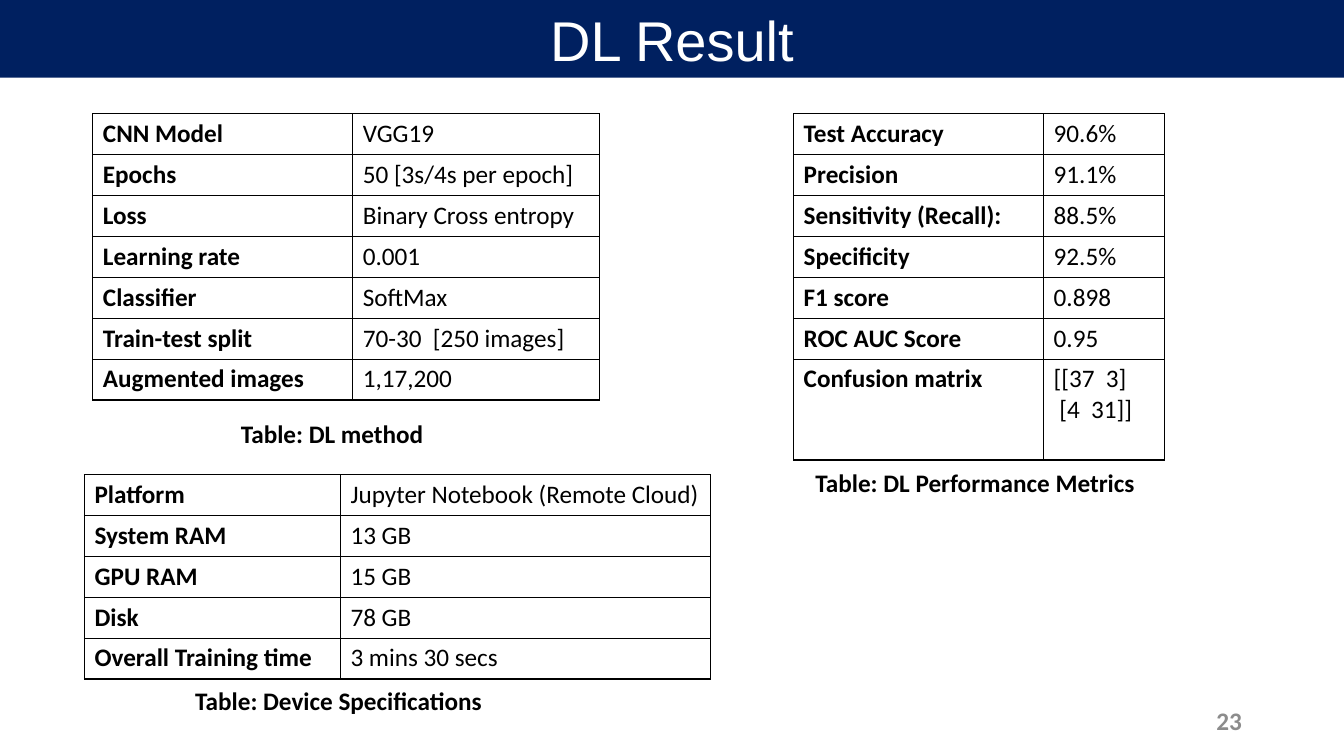
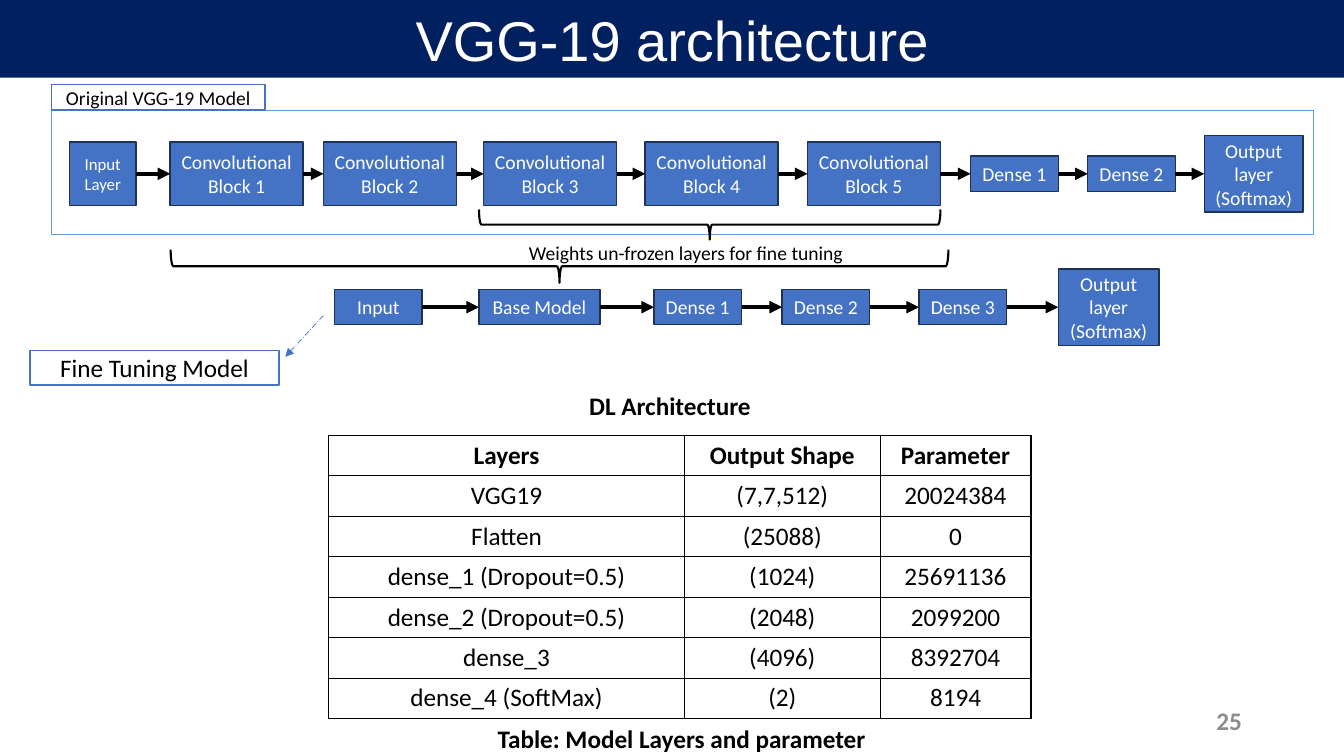
from dataclasses import dataclass
from itertools import pairwise

import pptx
import pptx.dml.color
import pptx.enum.dml
import pptx.enum.shapes
import pptx.enum.text
import pptx.oxml
import pptx.oxml.ns
import pptx.util

Cm = pptx.util.Cm
Pt = pptx.util.Pt
Shape = pptx.enum.shapes.MSO_SHAPE
Align = pptx.enum.text.PP_ALIGN
Anchor = pptx.enum.text.MSO_ANCHOR


@dataclass(frozen=True)
class Theme:
    navy: str = "002060"
    blue: str = "4472C4"
    dark_blue: str = "1E3256"
    light_blue: str = "5B9BD5"
    gray: str = "8C8C8C"
    black: str = "000000"
    white: str = "FFFFFF"
    title_font: str = "Arial"
    body_font: str = "Calibri"
    title_size: float = 40
    body_size: float = 18
    label_size: float = 14
    small_size: float = 12
    page_width: float = 33.87
    page_height: float = 19.05
    band_height: float = 1.96
    row_height: float = 1.03


THEME = Theme()


def rgb(color):
    return pptx.dml.color.RGBColor.from_string(color)


def add_child(parent, tag, **attributes):
    child = pptx.oxml.parse_xml(f"<a:{tag} {pptx.oxml.ns.nsdecls('a')}/>")
    for name, value in attributes.items():
        child.set(name, value)
    parent.append(child)
    return child


# Text
def write(frame, text, size=THEME.body_size, color=THEME.black, bold=False,
          font=THEME.body_font, align=Align.LEFT):
    """Fill a text frame; each line of text becomes a paragraph."""
    frame.word_wrap = True
    for index, line in enumerate(text.split("\n")):
        para = frame.add_paragraph() if index else frame.paragraphs[0]
        para.alignment = align
        span = para.add_run()
        span.text = line
        span.font.size = Pt(size)
        span.font.name = font
        span.font.bold = bold
        span.font.color.rgb = rgb(color)


def add_text(page, text, left, top, width=10, height=1.02,
             anchor=Anchor.TOP, **text_format):
    box = page.shapes.add_textbox(Cm(left), Cm(top), Cm(width), Cm(height))
    box.text_frame.vertical_anchor = anchor
    write(box.text_frame, text, **text_format)


def add_caption(page, text, left, top):
    add_text(page, text, left, top, bold=True)


# Shapes and lines
def add_box(page, left, top, width, height, text="", fill=THEME.white,
            line=THEME.blue, line_width=1, **text_format):
    box = page.shapes.add_shape(Shape.RECTANGLE, Cm(left), Cm(top),
                                Cm(width), Cm(height))
    box.shadow.inherit = False
    box.fill.solid()
    box.fill.fore_color.rgb = rgb(fill)
    box.line.color.rgb = rgb(line)
    box.line.width = Pt(line_width)
    if text:
        frame = box.text_frame
        frame.margin_left = frame.margin_right = Cm(0.15)
        frame.margin_top = frame.margin_bottom = 0
        frame.vertical_anchor = Anchor.MIDDLE
        write(frame, text, align=Align.CENTER, **text_format)
    return box


def add_brace(page, left, top, span, depth):
    """Draw a brace that opens upward, with its point at the bottom."""
    brace = page.shapes.add_shape(
        Shape.RIGHT_BRACE, Cm(left + (span - depth) / 2),
        Cm(top + (depth - span) / 2), Cm(depth), Cm(span))
    brace.rotation = 90
    brace.shadow.inherit = False
    brace.fill.background()
    brace.line.color.rgb = rgb(THEME.black)
    brace.line.width = Pt(1.5)


def add_arrow(page, start=(0, 0), end=(0, 0), color=THEME.black, width=3,
              dash=None):
    arrow = page.shapes.add_connector(
        pptx.enum.shapes.MSO_CONNECTOR.STRAIGHT,
        *(Cm(value) for value in (*start, *end)))
    arrow.line.color.rgb = rgb(color)
    arrow.line.width = Pt(width)
    if dash:
        arrow.line.dash_style = dash
    add_child(arrow.line._get_or_add_ln(), "tailEnd", type="triangle")
    add_child(arrow._element.spPr, "effectLst")
    return arrow


def add_flow(page, middle, steps):
    """Draw boxes (text, left, width, height, size) joined by arrows."""
    boxes = [add_box(page, left, middle - height / 2, width, height, text,
                     fill=THEME.blue, line=THEME.dark_blue, size=size,
                     color=THEME.white)
             for text, left, width, height, size in steps]
    for source, target in pairwise(boxes):
        arrow = add_arrow(page)
        arrow.begin_connect(source, 3)
        arrow.end_connect(target, 1)


# Tables
def outline_cell(cell):
    properties = cell._tc.get_or_add_tcPr()
    for index, side in enumerate(("lnL", "lnR", "lnT", "lnB")):
        border = add_child(properties, side, w=str(Pt(1)))
        add_child(add_child(border, "solidFill"), "srgbClr", val=THEME.black)
        properties.remove(border)
        properties.insert(index, border)


def add_table(page, left, top, widths, rows, row_height=THEME.row_height,
              last_height=None, header=False, align=Align.LEFT):
    """Bold the first row if header is set, otherwise the first column."""
    heights = [row_height] * len(rows)
    heights[-1] = last_height or row_height
    table = page.shapes.add_table(
        len(rows), len(widths), Cm(left), Cm(top),
        Cm(sum(widths)), Cm(sum(heights))).table
    table.first_row = table.horz_banding = False
    for column, width in zip(table.columns, widths):
        column.width = Cm(width)
    for row, height in zip(table.rows, heights):
        row.height = Cm(height)
    for i, values in enumerate(rows):
        for j, text in enumerate(values):
            cell = table.cell(i, j)
            cell.fill.solid()
            cell.fill.fore_color.rgb = rgb(THEME.white)
            cell.margin_top = cell.margin_bottom = Cm(0.12)
            outline_cell(cell)
            write(cell.text_frame, text, bold=(i if header else j) == 0,
                  align=align)


# Pages
def add_page(deck, title, number):
    page = deck.slides.add_slide(deck.slide_layouts[5])
    band = page.shapes.title
    band.left, band.top = 0, 0
    band.width, band.height = Cm(THEME.page_width), Cm(THEME.band_height)
    band.fill.solid()
    band.fill.fore_color.rgb = rgb(THEME.navy)
    band.text_frame.auto_size = pptx.enum.text.MSO_AUTO_SIZE.NONE
    band.text_frame.vertical_anchor = Anchor.TOP
    write(band.text_frame, title, size=THEME.title_size, color=THEME.white,
          font=THEME.title_font, align=Align.CENTER)
    add_text(page, number, 23.93, 17.65, 7.62, anchor=Anchor.MIDDLE,
             color=THEME.gray, bold=True, align=Align.RIGHT)
    return page


def build_results(deck):
    page = add_page(deck, "DL Result", "23")
    add_table(page, 20, 2.87, (6.3, 3.05), (
        ("Test Accuracy", "90.6%"),
        ("Precision", "91.1%"),
        ("Sensitivity (Recall):", "88.5%"),
        ("Specificity", "92.5%"),
        ("F1 score", "0.898"),
        ("ROC AUC Score", "0.95"),
        ("Confusion matrix", "[[37  3]\n [4  31]]"),
    ), last_height=2.54)
    add_caption(page, "Table: DL Performance Metrics", 20.3, 11.66)

    add_table(page, 2.34, 2.87, (6.55, 6.22), (
        ("CNN Model", "VGG19"),
        ("Epochs", "50 [3s/4s per epoch]"),
        ("Loss", "Binary Cross entropy"),
        ("Learning rate", "0.001"),
        ("Classifier", "SoftMax"),
        ("Train-test split", "70-30  [250 images]"),
        ("Augmented images", "1,17,200"),
    ))
    add_caption(page, "Table: DL method", 5.82, 10.41)

    add_table(page, 2.13, 11.96, (6.45, 9.32), (
        ("Platform", "Jupyter Notebook (Remote Cloud)"),
        ("System RAM", "13 GB"),
        ("GPU RAM", "15 GB"),
        ("Disk", "78 GB"),
        ("Overall Training time", "3 mins 30 secs"),
    ))
    add_caption(page, "Table: Device Specifications", 4.67, 17.15)


def build_architecture(deck):
    page = add_page(deck, "VGG-19 architecture", "25")
    size = THEME.label_size

    # Full model
    add_box(page, 1.3, 2.77, 31.8, 3.15, line=THEME.light_blue,
            line_width=0.5)
    add_box(page, 1.3, 2.13, 5.38, 0.64, "Original VGG-19 Model", size=size)
    blocks = [(f"Convolutional\nBlock {number}", left, 3.35, 1.6, size)
              for number, left in enumerate(
                  (4.29, 8.15, 12.19, 16.26, 20.35), start=1)]
    add_flow(page, 4.38, [
        ("Input Layer", 1.75, 1.68, 1.6, THEME.small_size),
        *blocks,
        ("Dense 1", 24.46, 2.21, 0.89, size),
        ("Dense 2", 27.41, 2.21, 0.89, size),
        ("Output layer\n(Softmax)", 30.35, 2.49, 1.93, size),
    ])

    # Fine-tuned model
    add_brace(page, 12.07, 5.28, 11.63, 0.76)
    add_brace(page, 4.3, 6.29, 19.6, 0.84)
    add_text(page, "Weights un-frozen layers for fine tuning", 13.08, 5.94,
             8.81, 0.86, size=size)
    add_flow(page, 7.74, [
        ("Input", 8.43, 2.21, 0.89, size),
        ("Base Model", 12.07, 3.05, 0.89, size),
        ("Dense 1", 16.48, 2.21, 0.89, size),
        ("Dense 2", 19.71, 2.21, 0.89, size),
        ("Dense 3", 23.16, 2.21, 0.89, size),
        ("Output layer\n(Softmax)", 26.67, 2.54, 1.93, size),
    ])
    add_box(page, 0.76, 8.84, 6.27, 0.86, "Fine Tuning Model")
    add_arrow(page, (8.15, 7.95), (7.19, 8.99), color=THEME.blue, width=0.5,
              dash=pptx.enum.dml.MSO_LINE.LONG_DASH_DOT)

    # Layer table
    add_caption(page, "DL Architecture", 14.6, 9.7)
    add_table(page, 8.28, 10.97, (8.97, 4.93, 3.8), (
        ("Layers", "Output Shape", "Parameter"),
        ("VGG19", "(7,7,512)", "20024384"),
        ("Flatten", "(25088)", "0"),
        ("dense_1 (Dropout=0.5)", "(1024)", "25691136"),
        ("dense_2 (Dropout=0.5)", "(2048)", "2099200"),
        ("dense_3", "(4096)", "8392704"),
        ("dense_4 (SoftMax)", "(2)", "8194"),
    ), row_height=1.02, header=True, align=Align.CENTER)
    add_caption(page, "Table: Model Layers and parameter", 12.29, 18.11)


def main():
    deck = pptx.Presentation()
    deck.slide_width = Cm(THEME.page_width)
    deck.slide_height = Cm(THEME.page_height)
    build_results(deck)
    build_architecture(deck)
    deck.save("out.pptx")


if __name__ == "__main__":
    main()
